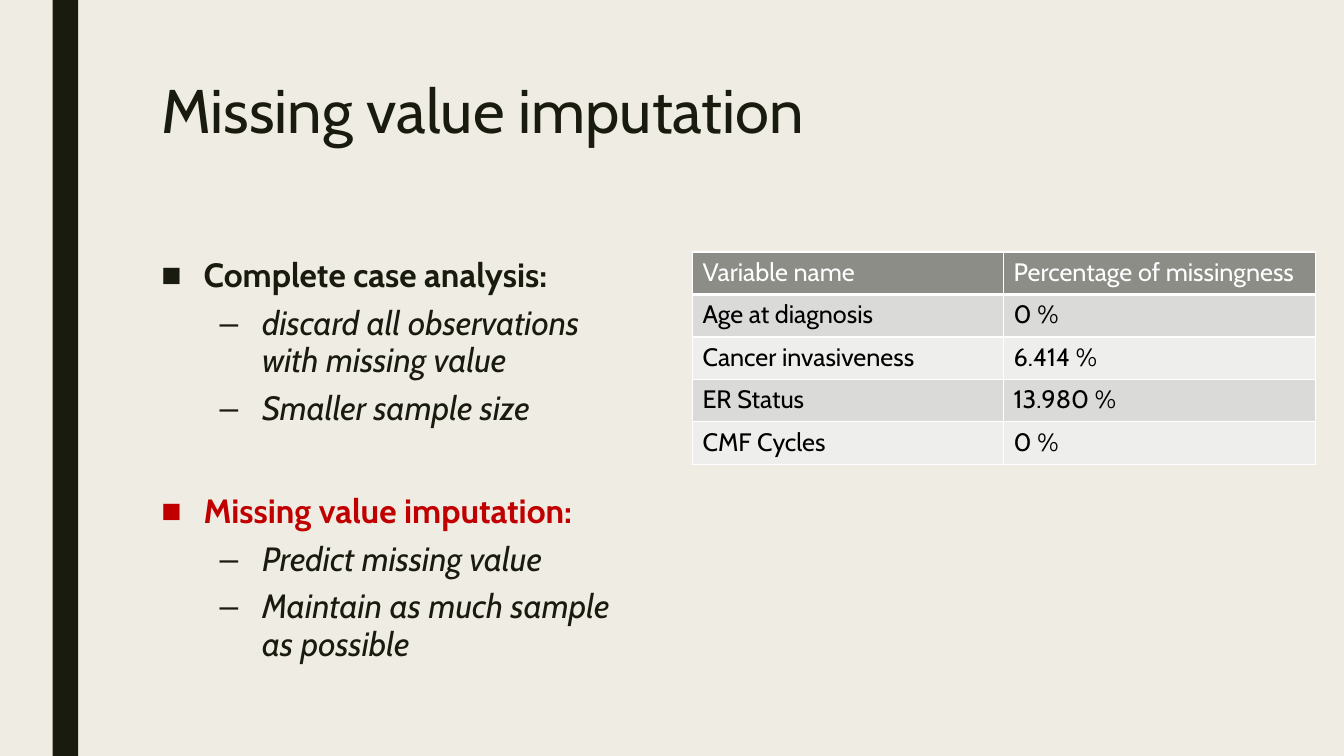
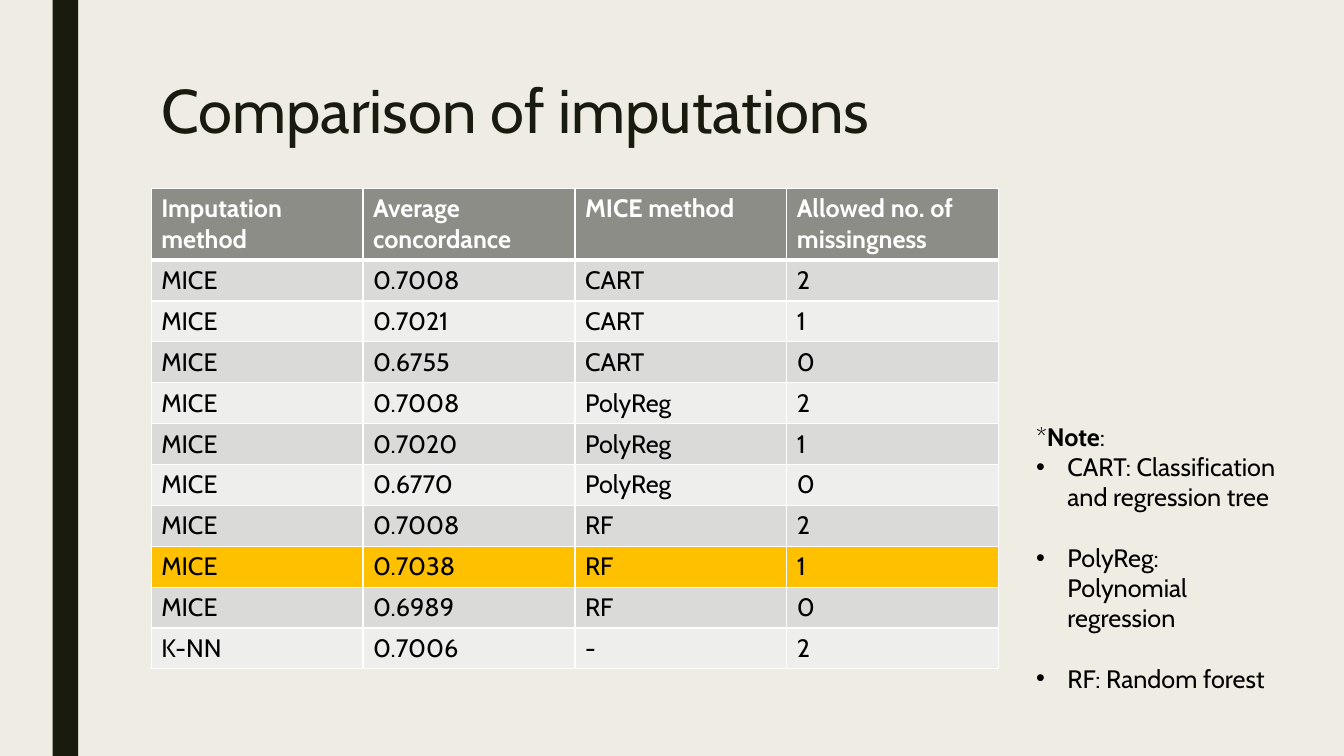
from dataclasses import dataclass
from lxml.etree import SubElement
from pptx import Presentation
from pptx.dml.color import RGBColor
from pptx.enum.shapes import MSO_SHAPE
from pptx.enum.text import MSO_ANCHOR, MSO_AUTO_SIZE, PP_ALIGN
from pptx.oxml.ns import qn
from pptx.util import Cm, Pt


@dataclass(frozen=True)
class Theme:
    font: str = "Cabin"
    paper: str = "EFEDE3"
    ink: str = "191B0E"
    red: str = "C00000"
    black: str = "000000"
    white: str = "FFFFFF"
    head: str = "8C8D86"
    bands: tuple = ("DADBD9", "EEEEED")
    gold: str = "FFC000"
    title: int = 44
    body: int = 24
    small: int = 18


theme = Theme()


def style(par, size, color, bold=False, slant=False, mark=None, left=0, hang=0):
    """Format the runs of a paragraph and give it a hanging bullet."""
    for run in par.runs:
        font = run.font
        font.name, font.size = theme.font, Pt(size)
        font.bold, font.italic = bold, slant
        font.color.rgb = RGBColor.from_string(color)
    if mark:
        props = par._p.get_or_add_pPr()
        props.set("marL", str(Cm(left)))
        props.set("indent", str(-Cm(hang)))
        SubElement(props, qn("a:buFont"), typeface="Arial")
        SubElement(props, qn("a:buChar"), char=mark)


def grid(slide, left, top, widths, heights, rows, bold=False, hot=None):
    """Add a banded table with white rules and an optional marked row."""
    frame = slide.shapes.add_table(len(rows), len(widths), Cm(left), Cm(top),
                                   Cm(sum(widths)), Cm(sum(heights)))
    table = frame.table
    for col, width in zip(table.columns, widths):
        col.width = Cm(width)
    for r, (row, height) in enumerate(zip(rows, heights)):
        table.rows[r].height = Cm(height)
        shade = theme.head if r == 0 else theme.bands[(r - 1) % 2]
        if r == hot:
            shade = theme.gold
        for c, text in enumerate(row):
            cell = table.cell(r, c)
            cell.text_frame.text = text
            style(cell.text_frame.paragraphs[0], theme.small,
                  theme.black if r else theme.white, bold and r == 0)
            props = cell._tc.get_or_add_tcPr()
            for side in ("lnL", "lnR", "lnT", "lnB"):
                thick = (r, side) in ((0, "lnB"), (1, "lnT"))
                line = SubElement(props, qn(f"a:{side}"), w=str(Pt(3 if thick else 1)))
                fill = SubElement(line, qn("a:solidFill"))
                SubElement(fill, qn("a:srgbClr"), val=theme.white)
            cell.fill.solid()
            cell.fill.fore_color.rgb = RGBColor.from_string(shade)


deck = Presentation()
deck.slide_width, deck.slide_height = Cm(33.87), Cm(19.05)
first = deck.slides.add_slide(deck.slide_layouts[1])
second = deck.slides.add_slide(deck.slide_layouts[5])

# Shared background
paper = deck.slide_master.background.fill
paper.solid()
paper.fore_color.rgb = RGBColor.from_string(theme.paper)

# Side bands and titles
for slide, text in ((first, "Missing value imputation"), (second, "Comparison of imputations")):
    band = slide.shapes.add_shape(MSO_SHAPE.RECTANGLE, Cm(1.33), 0, Cm(0.64), deck.slide_height)
    band.shadow.inherit = False
    band.fill.solid()
    band.fill.fore_color.rgb = RGBColor.from_string(theme.ink)
    band.line.fill.background()

    title = slide.shapes.title
    title.left, title.top, title.width, title.height = Cm(3.81), Cm(1.9), Cm(26.67), Cm(4.12)
    frame = title.text_frame
    frame.text = text
    frame.auto_size = MSO_AUTO_SIZE.NONE
    frame.vertical_anchor = MSO_ANCHOR.TOP
    par = frame.paragraphs[0]
    par.alignment = PP_ALIGN.LEFT
    par.line_spacing = 0.89
    style(par, theme.title, theme.ink)

# Slide 1: two approaches, as (level, text, colour, space before)
points = [
    (0, "Complete case analysis:", theme.ink, 10),
    (1, "discard all observations with missing value", theme.ink, 5),
    (1, "Smaller sample size", theme.ink, 5),
    (0, "Missing value imputation:", theme.red, 44.4),
    (1, "Predict missing value", theme.ink, 5),
    (1, "Maintain as much sample as possible", theme.ink, 5),
]
body = first.placeholders[1]
body.left, body.top, body.width, body.height = Cm(3.81), Cm(6.35), Cm(12.6), Cm(11.48)
frame = body.text_frame
frame.text = "\n".join(point[1] for point in points)
frame.auto_size = MSO_AUTO_SIZE.NONE
for par, (level, text, color, gap) in zip(frame.paragraphs, points):
    par.level = level
    par.line_spacing = 0.94
    par.space_before, par.space_after = Pt(gap), Pt(2)
    style(par, theme.body, color, level == 0, level == 1,
          "■–"[level], (1.07, 2.54)[level], 1.07)

# Slide 1: share of missing values
grid(first, 17.45, 6.35, [7.84, 7.86], [1.07] * 5, [
    ("Variable name", "Percentage of missingness"),
    ("Age at diagnosis", "0 %"),
    ("Cancer invasiveness", "6.414 %"),
    ("ER Status", "13.980 %"),
    ("CMF Cycles", "0 %"),
])

# Slide 2: scores by method
scores = [
    ("Imputation method", "Average concordance", "MICE method", "Allowed no. of missingness"),
    ("MICE", "0.7008", "CART", "2"),
    ("MICE", "0.7021", "CART", "1"),
    ("MICE", "0.6755", "CART", "0"),
    ("MICE", "0.7008", "PolyReg", "2"),
    ("MICE", "0.7020", "PolyReg", "1"),
    ("MICE", "0.6770", "PolyReg", "0"),
    ("MICE", "0.7008", "RF", "2"),
    ("MICE", "0.7038", "RF", "1"),
    ("MICE", "0.6989", "RF", "0"),
    ("K-NN", "0.7006", "-", "2"),
]
grid(second, 3.81, 4.75, [5.34] * 4, [1.78] + [1.03] * 10, scores, bold=True, hot=8)

# Slide 2: note on the methods
note = second.shapes.add_textbox(Cm(25.86), Cm(10.49), Cm(6.73), Cm(7.2))
frame = note.text_frame
frame.word_wrap = True
lead = frame.paragraphs[0]
for text in ("*", "Note", ":"):
    lead.add_run().text = text
style(lead, theme.small, theme.black)
lead.runs[1].font.bold = True
terms = ("CART: Classification and regression tree",
         "PolyReg: Polynomial regression", "RF: Random forest")
for i, text in enumerate(terms):
    par = frame.add_paragraph()
    par.text = text
    par.space_before = Pt(21.6 if i else 0)
    style(par, theme.small, theme.black, mark="•", left=0.79, hang=0.79)

deck.save("out.pptx")
